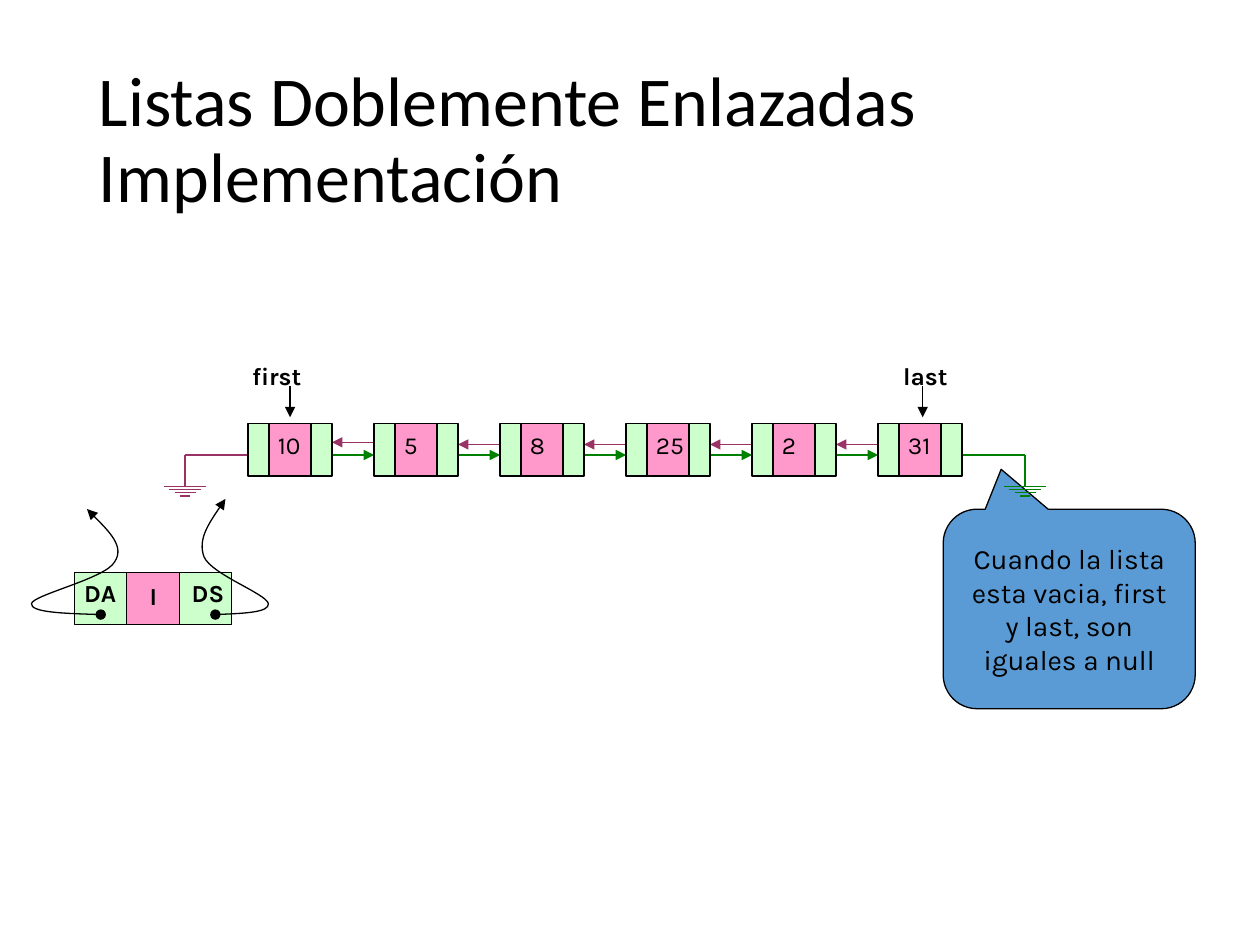
from pptx import Presentation
from pptx.dml.color import RGBColor
from pptx.enum.shapes import MSO_CONNECTOR, MSO_SHAPE
from pptx.enum.text import MSO_ANCHOR, PP_ALIGN
from pptx.oxml.ns import qn
from pptx.util import Pt
from lxml import etree

COLORS = {
    "ink": "000000",
    "data": "FF99CC",
    "link": "CCFFCC",
    "next": "008000",
    "prev": "993366",
    "note": "5B9BD5",
}


def rgb(name):
    return RGBColor.from_string(COLORS[name])


def write_text(tf, text, size=14, font="Karla", color="ink", bold=False,
               align=PP_ALIGN.LEFT, anchor=MSO_ANCHOR.TOP, spacing=None):
    tf.word_wrap = True
    tf.vertical_anchor = anchor
    p = tf.paragraphs[0]
    p.alignment = align
    p.line_spacing = spacing
    for i, line in enumerate(text.split("\n")):
        if i:
            p.add_line_break()
        r = p.add_run()
        r.text = line
        r.font.size = Pt(size)
        r.font.name = font
        r.font.bold = bold
        r.font.color.rgb = rgb(color)


class Diagram:
    line_width = 0.75

    def __init__(self, s):
        self.s = s

    def outline(self, sp, color="ink", head=None, tail=None):
        sp.line.color.rgb = rgb(color)
        sp.line.width = Pt(self.line_width)
        ln = sp.line._get_or_add_ln()
        for tag, kind in (("a:headEnd", head), ("a:tailEnd", tail)):
            if kind:
                etree.SubElement(ln, qn(tag), type=kind)

    def shape(self, kind, x, y, w, h, fill):
        sp = self.s.shapes.add_shape(kind, Pt(x), Pt(y), Pt(w), Pt(h))
        sp.shadow.inherit = False
        sp.fill.solid()
        sp.fill.fore_color.rgb = rgb(fill)
        self.outline(sp)
        return sp

    def cell(self, x, y, w, fill):
        self.shape(MSO_SHAPE.RECTANGLE, x, y, w, 30, fill)

    def text(self, x, y, w, h, text, **style):
        sp = self.s.shapes.add_textbox(Pt(x), Pt(y), Pt(w), Pt(h))
        write_text(sp.text_frame, text, **style)

    def line(self, x1, y1, x2, y2, color="ink", tail=None):
        sp = self.s.shapes.add_connector(
            MSO_CONNECTOR.STRAIGHT, Pt(x1), Pt(y1), Pt(x2), Pt(y2))
        self.outline(sp, color, tail=tail)
        etree.SubElement(sp._element.spPr, qn("a:effectLst"))

    def curve(self, points):
        start, *rest = [(Pt(x), Pt(y)) for x, y in points]
        builder = self.s.shapes.build_freeform(*start)
        builder.add_line_segments(rest, close=False)
        sp = builder.convert_to_shape()
        sp.shadow.inherit = False
        sp.fill.background()
        self.outline(sp, head="oval", tail="triangle")
        segments = list(sp._element.iter(qn("a:lnTo")))
        outline = segments[0].getparent()
        for i in range(0, len(segments), 3):
            bezier = etree.SubElement(outline, qn("a:cubicBezTo"))
            for segment in segments[i:i + 3]:
                bezier.append(segment[0])
                outline.remove(segment)

    def callout(self, x, y, w, h, text, adjustments):
        sp = self.shape(MSO_SHAPE.ROUNDED_RECTANGULAR_CALLOUT, x, y, w, h, "note")
        for i, value in enumerate(adjustments):
            sp.adjustments[i] = value
        write_text(sp.text_frame, text, size=16, align=PP_ALIGN.CENTER,
                   anchor=MSO_ANCHOR.MIDDLE)

    def pointer(self, x, label, label_x, label_w):
        self.line(x, 220.5, x, 238.5, tail="triangle")
        self.text(label_x, 202.5, label_w, 24.5, label, bold=True)

    def ground(self, node_x, x, color):
        self.line(node_x, 260, x, 260, color)
        self.line(x, 260, x, 278, color)
        for i, half in enumerate((12, 9, 6, 3)):
            y = 278 + 1.8 * i
            self.line(x - half, y, x + half, y, color)

    def node(self, x, value):
        self.cell(x + 12, 242, 24, "data")
        self.cell(x + 36, 242, 12, "link")
        self.text(x + 10, 242, 36, 24.5, value)
        self.cell(x, 242, 12, "link")

    def record(self, x, y):
        self.cell(x + 30, y, 30, "data")
        self.cell(x + 60, y, 30, "link")
        self.text(x + 36, y + 1.5, 36, 24.5, "I", bold=True)
        self.text(x + 60, y, 36, 24.5, "DS", bold=True)
        self.cell(x, y, 30, "link")
        self.text(x - 1.5, y, 36, 24.5, "DA", bold=True)


def main():
    prs = Presentation()
    prs.slide_width, prs.slide_height = Pt(720), Pt(540)
    d = Diagram(prs.slides.add_slide(prs.slide_layouts[6]))

    d.text(49.5, 28.75, 621, 104.4, "Listas Doblemente Enlazadas\nImplementación",
           size=40, font="Calibri", anchor=MSO_ANCHOR.MIDDLE, spacing=0.9)
    d.callout(539, 291, 144, 114,
              "Cuando la lista esta vacia, first y last, son iguales a null",
              (-0.27, -0.7, 0.17))

    d.record(42.5, 327)
    d.curve([(57.6, 351.2), (37.4, 350.6), (17.3, 349.9), (18, 344.9),
             (19.4, 339.8), (60.5, 330.5), (65.5, 321.1),
             (71.3, 312.5), (60.5, 301.7), (49.7, 290.9)])
    d.curve([(123.1, 351.2), (138.2, 350.6), (154.1, 349.9), (153.4, 344.9),
             (151.9, 339.1), (121, 328.3), (116.6, 318.2),
             (113, 308.2), (121, 296.6), (128.9, 285.1)])

    values = ["10", "5", "8", "25", "2", "31"]
    left, pitch, width = 141.75, 72, 48
    xs = [left + pitch * i for i in range(len(values))]
    d.pointer(xs[-1] + 25.5, "last", 509, 42)
    d.pointer(xs[0] + 24, "first", 137, 66)

    d.ground(xs[-1] + width, xs[-1] + width + 36, "next")
    d.ground(xs[0], xs[0] - 36, "prev")
    for i, (x, following) in enumerate(zip(xs, xs[1:])):
        back_y = 254 if i else 252.75
        d.line(x + width, 260, following, 260, "next", "triangle")
        d.line(following, back_y, x + width, back_y, "prev", "triangle")
    for x, value in zip(xs, values):
        d.node(x, value)

    prs.save("out.pptx")


if __name__ == "__main__":
    main()
